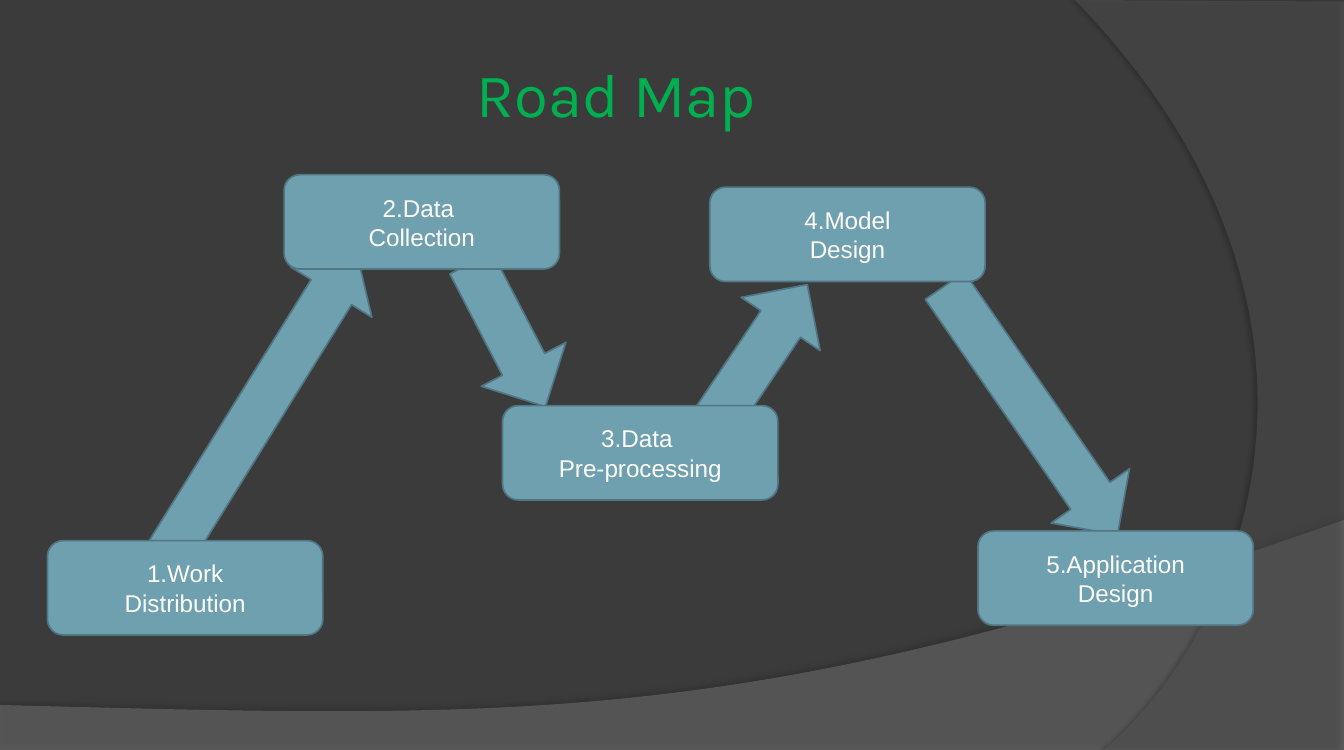
from dataclasses import dataclass

from lxml import etree
from pptx import Presentation
from pptx.dml.color import RGBColor
from pptx.enum.shapes import MSO_SHAPE
from pptx.enum.text import MSO_ANCHOR, PP_ALIGN
from pptx.oxml.ns import qn
from pptx.util import Cm, Pt

ROUND_BOX = MSO_SHAPE.ROUNDED_RECTANGLE
RIGHT_ARROW = MSO_SHAPE.RIGHT_ARROW
MIDDLE = MSO_ANCHOR.MIDDLE
CENTER = PP_ALIGN.CENTER


@dataclass(frozen=True)
class Theme:
    background: str = "3B3B3B"
    lower_wave: str = "7F7F7F"
    right_wave: str = "5E5E5E"
    shadow: str = "000000"
    step_fill: str = "6EA0B0"
    step_line: str = "517682"
    title: str = "00B050"
    step_text: str = "FFFFFF"
    title_font: str = "Karla"
    step_font: str = "Arial"
    title_size: int = 56
    step_size: int = 22
    line_width: float = 1.5


THEME = Theme()
PAGE_WIDTH, PAGE_HEIGHT = 43, 24
BOX_WIDTH, BOX_HEIGHT = 8.81, 3.02
ARROW_HEIGHT = 3.05
CURVE_STEPS = 60

# Steps: left, top, lines of text
STEPS = [
    (1.52, 17.3, ("1.Work", "Distribution")),
    (9.09, 5.59, ("2.Data ", "Collection")),
    (16.08, 12.98, ("3.Data ", "Pre-processing")),
    (22.71, 5.99, ("4.Model", "Design")),
    (31.29, 16.99, ("5.Application", "Design")),
]

# Arrows between steps: left, top, length, rotation
ARROWS = [
    (2.74, 11.35, 11.35, 301.8),
    (13.67, 9.19, 5.18, 62.6),
    (21.69, 9.78, 5.31, 304),
    (28.14, 11.61, 9.7, 55.3),
]


def color(value):
    return RGBColor.from_string(value)


def add_alpha(color_element, percent):
    alpha = etree.SubElement(color_element, qn("a:alpha"))
    alpha.set("val", str(percent * 1000))


def curve_points(start, control_1, control_2, end):
    """Points along a cubic curve, without its start."""
    points = []
    for step in range(1, CURVE_STEPS + 1):
        t = step / CURVE_STEPS
        weights = ((1 - t) ** 3, 3 * t * (1 - t) ** 2, 3 * t * t * (1 - t), t ** 3)
        corners = (start, control_1, control_2, end)
        points.append(tuple(sum(weight * corner[axis] for weight, corner in zip(weights, corners))
                            for axis in (0, 1)))
    return points


def add_wave(page, corners, curve, fill, opacity, shadow_opacity, distance, direction):
    """Translucent shape whose last corner starts a curved edge."""
    points = [(Cm(x), Cm(y)) for x, y in corners + curve_points(corners[-1], *curve)]
    builder = page.shapes.build_freeform(*points[0])
    builder.add_line_segments(points[1:], close=True)
    wave = builder.convert_to_shape()
    wave.fill.solid()
    wave.fill.fore_color.rgb = color(fill)
    add_alpha(wave.element.spPr.find(".//" + qn("a:srgbClr")), opacity)
    wave.line.fill.background()
    wave.shadow.inherit = False
    effects = wave.element.spPr.find(qn("a:effectLst"))
    shadow = etree.SubElement(effects, qn("a:outerShdw"), blurRad=str(Pt(4)),
                              dist=str(Pt(distance)), dir=str(direction * 60000),
                              algn="ctr", rotWithShape="0")
    shade = etree.SubElement(shadow, qn("a:srgbClr"), val=THEME.shadow)
    add_alpha(shade, shadow_opacity)


def add_step_shape(page, kind, left, top, width, height):
    shape = page.shapes.add_shape(kind, Cm(left), Cm(top), Cm(width), Cm(height))
    shape.shadow.inherit = False
    shape.fill.solid()
    shape.fill.fore_color.rgb = color(THEME.step_fill)
    shape.line.color.rgb = color(THEME.step_line)
    shape.line.width = Pt(THEME.line_width)
    return shape


def write_lines(shape, lines, font, size, ink, side_margin):
    frame = shape.text_frame
    frame.word_wrap = True
    frame.vertical_anchor = MIDDLE
    frame.margin_left = frame.margin_right = Cm(side_margin)
    frame.margin_top = frame.margin_bottom = Cm(0.16)
    for index, line in enumerate(lines):
        para = frame.add_paragraph() if index else frame.paragraphs[0]
        para.alignment = CENTER
        span = para.add_run()
        span.text = line
        span.font.name = font
        span.font.size = Pt(size)
        span.font.color.rgb = color(ink)


def add_arrow(page, left, top, length, rotation):
    arrow = add_step_shape(page, RIGHT_ARROW, left, top, length, ARROW_HEIGHT)
    arrow.rotation = rotation


def add_title(page, title):
    box = page.shapes.add_textbox(Cm(2.16), Cm(0.97), Cm(35.13), Cm(3.99))
    write_lines(box, [title], THEME.title_font, THEME.title_size, THEME.title, 0.16)


def add_step(page, left, top, lines):
    box = add_step_shape(page, ROUND_BOX, left, top, BOX_WIDTH, BOX_HEIGHT)
    write_lines(box, lines, THEME.step_font, THEME.step_size, THEME.step_text, 0.31)


def main():
    deck = Presentation()
    deck.slide_width, deck.slide_height = Cm(PAGE_WIDTH), Cm(PAGE_HEIGHT)
    page = deck.slides.add_slide(deck.slide_layouts[6])

    # Background and waves
    page.background.fill.solid()
    page.background.fill.fore_color.rgb = color(THEME.background)
    add_wave(page, [(0, 22.56), (0, PAGE_HEIGHT), (PAGE_WIDTH, PAGE_HEIGHT), (PAGE_WIDTH, 16.64)],
             [(24.03, 23.34), (16.79, 22.99), (0, 22.56)],
             THEME.lower_wave, 45, 35, 3.5, 270)
    add_wave(page, [(PAGE_WIDTH, 0.05), (PAGE_WIDTH, PAGE_HEIGHT), (35.33, PAGE_HEIGHT)],
             [(40.18, 19.81), (43.76, 9.63), (34.39, 0)],
             THEME.right_wave, 40, 45, 4, 180)

    # Road map: arrows lie behind the steps
    for arrow in ARROWS:
        add_arrow(page, *arrow)
    add_title(page, "Road Map")
    for step in STEPS:
        add_step(page, *step)

    deck.save("out.pptx")


if __name__ == "__main__":
    main()
